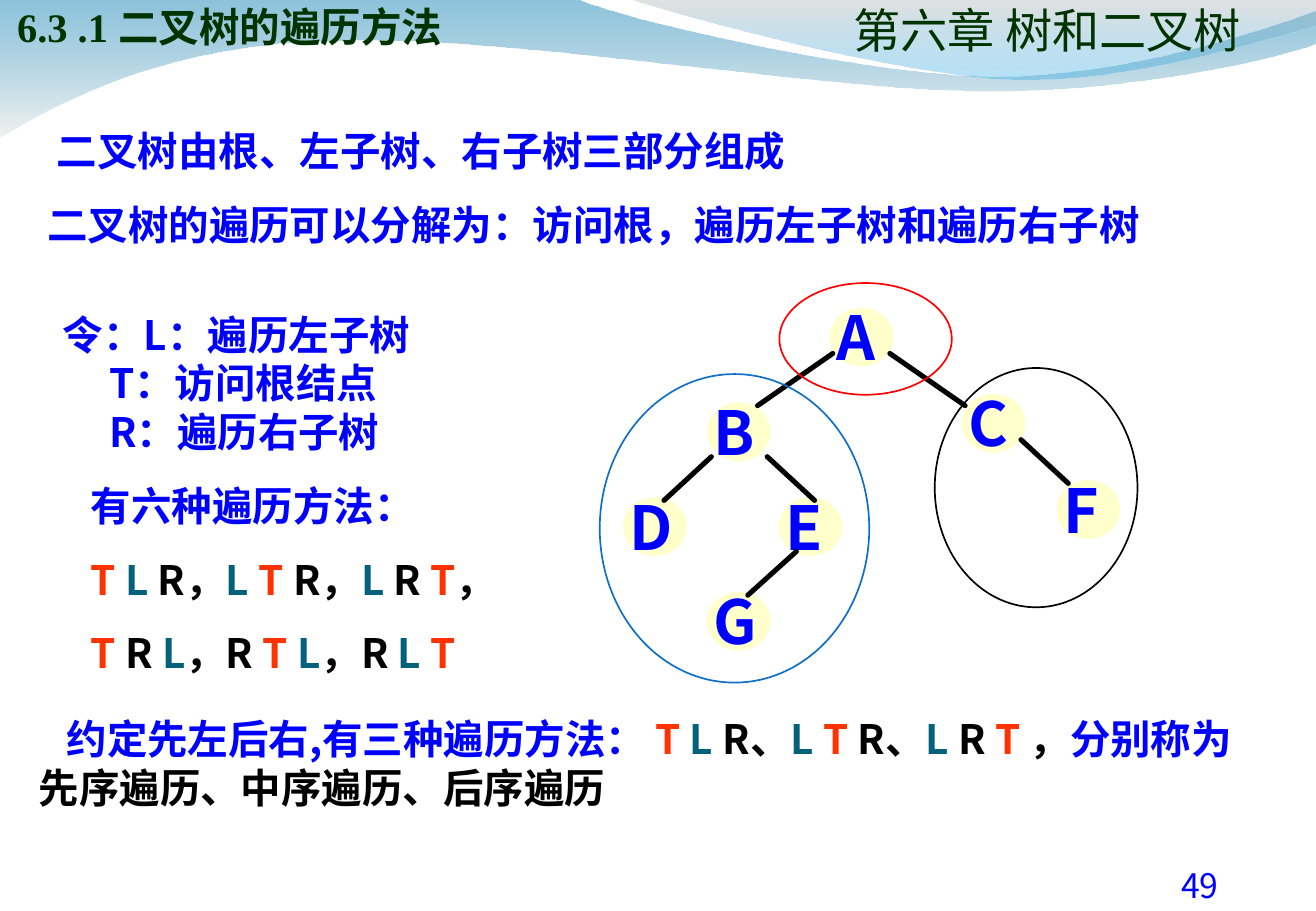
from lxml import etree
from pptx import Presentation
from pptx import util as u
from pptx.dml.color import RGBColor
from pptx.enum import shapes, text
from pptx.oxml import ns

PX = 9144
CJK = "Noto Sans CJK SC"
SERIF = "Times New Roman"
BLUE = RGBColor(0x00, 0x00, 0xFF)
GREEN = RGBColor(0x00, 0x33, 0x00)
BLACK = RGBColor(0x00, 0x00, 0x00)
RED = RGBColor(0xFF, 0x00, 0x00)
ORANGE = RGBColor(0xFF, 0x33, 0x00)
TEAL = RGBColor(0x04, 0x61, 0x7B)
CREAM = RGBColor(0xFF, 0xFF, 0xCC)
RING_BLUE = RGBColor(0x0F, 0x6F, 0xC6)
WAVE_BLUE = RGBColor(0x00, 0x79, 0xAF)
WAVE_PALE = RGBColor(0xE7, 0xE7, 0xE7)
WAVE_GREY = RGBColor(0xBC, 0xBC, 0xBC)
WAVE_SKY = RGBColor(0x00, 0x9B, 0xE5)
LETTER_COLORS = {"T": ORANGE, "L": TEAL}


def px(*values):
    return [u.Emu(v * PX) for v in values]


def add_child(parent, tag, **attrs):
    return etree.SubElement(parent, ns.qn(tag), attrs)


def add_run(p, content, size, color, bold, font):
    for i, line in enumerate(content.split("\n")):
        if i:
            p.add_line_break()
        r = p.add_run()
        r.text = line
        r.font.size = u.Pt(size)
        r.font.bold = bold
        r.font.color.rgb = color
        r.font.name = font
        add_child(r._r.get_or_add_rPr(), "a:ea", typeface=CJK)


def add_text(parent, box, paragraphs, size=24, color=BLUE, bold=True, font=CJK,
             align=text.PP_ALIGN.LEFT, anchor=text.MSO_ANCHOR.TOP, insets=(10, 5, 10, 5)):
    tf = parent.shapes.add_textbox(*px(*box)).text_frame
    tf.word_wrap = True
    tf.vertical_anchor = anchor
    tf.margin_left, tf.margin_top, tf.margin_right, tf.margin_bottom = px(*insets)
    for i, (runs, margin, indent) in enumerate(paragraphs):
        p = tf.paragraphs[0]
        if i:
            p = tf.add_paragraph()
            p.space_before = u.Pt(15)
        p.alignment = align
        p.line_spacing = u.Pt(size * 1.2)
        pPr = p._p.get_or_add_pPr()
        pPr.set("marL", str(margin * PX))
        pPr.set("indent", str(indent * PX))
        for content, run_color in runs:
            add_run(p, content, size, run_color or color, bold, font)


def para(*runs, margin=0, indent=0):
    return [r if isinstance(r, tuple) else (r, None) for r in runs], margin, indent


def orders(content):
    runs = []
    for char in content:
        color = LETTER_COLORS.get(char, BLACK)
        if runs and (char == " " or color == runs[-1][1]):
            runs[-1] = (runs[-1][0] + char, runs[-1][1])
        else:
            runs.append((char, color))
    return runs


def add_ellipse(parent, box, line, fill=None):
    sp = parent.shapes.add_shape(shapes.MSO_SHAPE.OVAL, *px(*box))
    sp.shadow.inherit = False
    sp.line.color.rgb = line
    sp.line.width = u.Pt(1)
    if fill is None:
        sp.fill.background()
    else:
        sp.fill.solid()
        sp.fill.fore_color.rgb = fill


def add_edge(parent, ends):
    line = parent.shapes.add_connector(shapes.MSO_CONNECTOR.STRAIGHT, *px(*ends))
    line.line.color.rgb = BLACK
    line.line.width = u.Pt(3)
    line.line._get_or_add_ln().set("cap", "rnd")
    add_child(line._element.spPr, "a:effectLst")


def add_wave(s, x, y, start, segments, stops):
    points = [(x + dx, y + dy) for seg in segments for dx, dy in zip(seg[::2], seg[1::2])]
    builder = s.shapes.build_freeform(*px(x + start[0], y + start[1]), scale=1.0)
    builder.add_line_segments([px(*pt) for pt in points], close=True)
    sp = builder.convert_to_shape()
    steps = iter(list(sp._element.spPr.iter(ns.qn("a:lnTo"))))
    for seg in segments:
        step = next(steps)
        if len(seg) == 6:
            step.tag = ns.qn("a:cubicBezTo")
            for _ in range(2):
                extra = next(steps)
                step.append(extra[0])
                extra.getparent().remove(extra)
    sp.shadow.inherit = False
    sp.line.fill.background()
    sp.fill.gradient()
    sp.fill.gradient_angle = 270
    for stop, (position, color, _) in zip(sp.fill.gradient_stops, stops):
        stop.position = position
        stop.color.rgb = color
    for clr, (_, _, opacity) in zip(sp._element.spPr.iter(ns.qn("a:srgbClr")), stops):
        add_child(clr, "a:alpha", val=str(opacity * 1000))


def header(s, x, y, w):
    add_wave(s, x, y, (0, 0),
             [(477, 0), (515, 17, 719, 63, 822, 63), (924, 63, 1038, 26, w, 9), (w, 36),
              (1065, 44, 942, 76, 808, 75), (674, 75, 414, 28, 279, 34),
              (140, 35, 50, 83, 0, 113)],
             [(0, WAVE_BLUE, 45), (1, WAVE_PALE, 55)])
    add_wave(s, x, y, (519, 0),
             [(552, 11, 739, 62, 833, 65), (927, 69, 1042, 32, w, 21), (w, 0)],
             [(0, WAVE_GREY, 45), (1, WAVE_SKY, 30)])
    style = dict(color=GREEN, font=SERIF, anchor=text.MSO_ANCHOR.BOTTOM, insets=(0, 5, 0, 0))
    add_text(s, (x + 698, y - 31, 329, 79), [para("第六章 树和二叉树")], size=28, bold=False,
             align=text.PP_ALIGN.CENTER, **style)
    add_text(s, (x + 14, y - 42, 975, 84), [para("6.3 .1 二叉树的遍历方法")], **style)


def explanation(s, x, y, w):
    add_text(s, (x, y, w - 29, 111), [
        para("二叉树由根、左子树、右子树三部分组成", margin=15),
        para("二叉树的遍历可以分解为：访问根，遍历左子树和遍历右子树", margin=7)])
    add_text(s, (x + 20, y + 151, 442, 313), [
        para("令：L：遍历左子树\nT：访问根结点\nR：遍历右子树", margin=38, indent=-38),
        para("有六种遍历方法：", margin=23),
        para(*orders("T L R，L T R，L R T，"), margin=23),
        para(*orders("T R L，R T L，R L T"), margin=23)])
    add_text(s, (x, y + 484, w, 90), [
        para("约定先左后右,有三种遍历方法： ", *orders("T L R、L T R、L R T ，"),
             "分别称为　", ("先序遍历、中序遍历、后序遍历", BLACK), indent=23)])


def tree(s, x, y):
    g = s.shapes.add_group_shape()
    nodes = {"A": (190, 21), "F": (377, 163), "G": (89, 255), "E": (148, 177),
             "D": (20, 177), "C": (299, 92), "B": (89, 99)}
    for name, (dx, dy) in nodes.items():
        add_ellipse(g, (x + dx, y + dy, 51, 47), CREAM, CREAM)
        add_text(g, (x + dx - 5, y + dy - 12, 85, 70), [para(name)], size=36)
    edges = [(192, 58, 130, 101), (239, 58, 301, 101), (138, 143, 177, 179),
             (162, 221, 122, 257), (92, 143, 53, 179), (347, 129, 386, 165)]
    for x1, y1, x2, y2 in edges:
        add_edge(g, (x + x1, y + y1, x + x2, y + y2))
    rings = [(0, 75, 222, 254, RING_BLUE), (276, 70, 167, 197, BLACK), (148, 0, 142, 92, RED)]
    for dx, dy, w, h, color in rings:
        add_ellipse(g, (x + dx, y + dy, w, h), color)


def page_number(s, x, y, w, h):
    add_text(s, (x, y, w, h), [para("49")], size=20, bold=False, align=text.PP_ALIGN.CENTER)


def main():
    prs = Presentation()
    prs.slide_width, prs.slide_height = px(1084, 750)
    s = prs.slides.add_slide(prs.slide_layouts[6])
    header(s, 0, 0, 1084)
    page_number(s, 897, 707, 183, 43)
    explanation(s, 22, 99, 1061)
    tree(s, 494, 233)
    prs.save("out.pptx")


if __name__ == "__main__":
    main()
